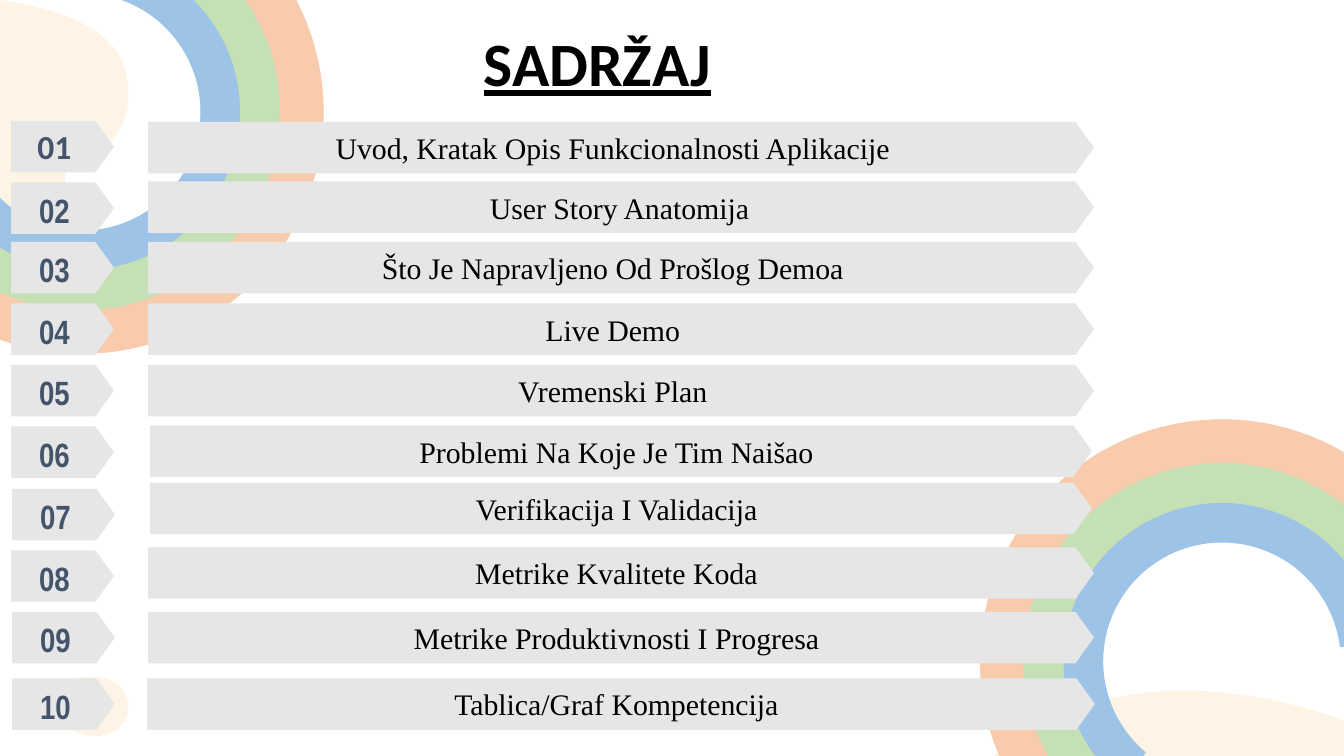
from dataclasses import dataclass
from typing import Optional

from lxml import etree
from pptx import Presentation
from pptx import util as u
from pptx.dml.color import RGBColor
from pptx.enum import shapes, text
from pptx.oxml import ns

BLACK = RGBColor(0x00, 0x00, 0x00)
SLATE = RGBColor(0x44, 0x54, 0x6A)
GREY = RGBColor(0xE7, 0xE6, 0xE6)
CREAM = RGBColor(0xF8, 0xBF, 0x66)
GREEN = RGBColor(0xC5, 0xE0, 0xB4)
BLUE = RGBColor(0x9D, 0xC3, 0xE6)
SALMON = RGBColor(0xF8, 0xCB, 0xAD)

PLATE_HEIGHT = 0.51
BAR_CENTRE = 6.16
INSET = 0.13

Point = tuple[float, float]


@dataclass
class Band:
    """One block arc of a rainbow."""
    color: RGBColor
    diameter: float
    rotation: float
    adjustments: tuple[float, float, float]


@dataclass
class Rainbow:
    center: Point
    turn: float
    unlined: Optional[RGBColor] = None


@dataclass
class Blob:
    """Frame, straight corners, then Bézier segments (two controls and an end)."""
    frame: tuple[float, float, float, float]
    corners: list[Point]
    curves: list[tuple[Point, Point, Point]]


@dataclass
class Entry:
    """One line of the contents: a numbered tag and a title bar."""
    title: str
    tag_top: float
    bar_top: float
    tag_left: float = 0.11
    bar_left: float = 1.47
    number_font: str = "Arial Narrow"
    number_spacing: float = 1.0
    inset_left: float = INSET


BANDS = [
    Band(GREEN, 3.96, 69.2, (107.81, 63.674, 0.106)),
    Band(BLUE, 3.13, 109.1, (108, 25.762, 0.122)),
    Band(SALMON, 4.79, 48.3, (107.79, 88.526, 0.088)),
]
RAINBOWS = [Rainbow((0.81, 1.11), 0, unlined=GREEN), Rainbow((12.12, 6.56), 200.9)]

BLOBS = [
    Blob((0.4, 6.71, 0.88, 0.59), [(0.7, 7.24)],
         [((1.15, 7.45), (1.42, 7.07), (1.19, 6.81)),
          ((0.96, 6.55), (-0.13, 6.86), (0.7, 7.24))]),
    Blob((9.85, 6.85, 4.28, 0.65), [(9.85, 7.5), (14.13, 7.5)],
         [((14.13, 7.5), (11.61, 6.04), (9.85, 7.5))]),
    Blob((0, 0, 1.28, 2.31), [(0, 2.24), (0, 0)],
         [((0.29, 0.04), (1.08, 0.18), (1.23, 0.66)),
          ((1.41, 1.25), (1, 1.62), (0.64, 1.66)),
          ((0.64, 1.66), (0.76, 2.55), (0, 2.24))]),
]

ENTRIES = [
    Entry("Uvod, Kratak Opis Funkcionalnosti Aplikacije ", 1.2, 1.21,
          number_font="Calibri", number_spacing=0.9),
    Entry("User Story Anatomija", 1.81, 1.8, inset_left=0.19),
    Entry("Što Je Napravljeno Od Prošlog Demoa ", 2.4, 2.4),
    Entry("Live Demo ", 3.01, 3.01),
    Entry("Vremenski Plan ", 3.62, 3.62),
    Entry("Problemi Na Koje Je Tim Naišao", 4.23, 4.22, bar_left=1.49),
    Entry("Verifikacija I Validacija", 4.85, 4.79, tag_left=0.12, bar_left=1.49),
    Entry("Metrike Kvalitete Koda", 5.46, 5.43),
    Entry("Metrike Produktivnosti I Progresa", 6.07, 6.07, tag_left=0.12),
    Entry("Tablica/Graf Kompetencija", 6.73, 6.73, tag_left=0.12, bar_left=1.46),
]


def write(shape, content: str, *, size: float, font: str, color: RGBColor = BLACK,
          bold: bool = False, underline: bool = False, spacing: float = 1.0,
          inset_left: float = INSET, anchor=text.MSO_ANCHOR.MIDDLE) -> None:
    frame = shape.text_frame
    frame.word_wrap = True
    frame.auto_size = text.MSO_AUTO_SIZE.NONE
    frame.vertical_anchor = anchor
    frame.margin_left = u.Inches(inset_left)
    frame.margin_right = frame.margin_top = frame.margin_bottom = u.Inches(INSET)
    paragraph = frame.paragraphs[0]
    paragraph.alignment = text.PP_ALIGN.CENTER
    paragraph.line_spacing = spacing
    run = paragraph.add_run()
    run.text = content
    run.font.size = u.Pt(size)
    run.font.name = font
    run.font.color.rgb = color
    run.font.bold = bold
    run.font.underline = underline


def paint(shape, color: RGBColor) -> None:
    shape.shadow.inherit = False
    shape.fill.solid()
    shape.fill.fore_color.rgb = color
    shape.line.fill.background()


def draw_blob(slide, blob: Blob) -> None:
    """Draw a curved, transparent shape on the layout behind the slide."""
    left, top, width, height = blob.frame
    builder = slide.shapes.build_freeform(u.Inches(left), u.Inches(top))
    builder.add_line_segments([(u.Inches(left + width), u.Inches(top + height))])
    shape = builder.convert_to_shape()
    paint(shape, CREAM)
    fill_color = shape.element.find(".//" + ns.qn("a:srgbClr"))
    etree.SubElement(fill_color, ns.qn("a:alpha"), val="17000")

    outline = shape.element.find(".//" + ns.qn("a:path"))
    for command in list(outline):
        outline.remove(command)
    steps = [("a:lnTo", (corner,)) for corner in blob.corners]
    steps[0] = ("a:moveTo", (blob.corners[0],))
    steps += [("a:cubicBezTo", curve) for curve in blob.curves]
    for tag, points in steps:
        command = etree.SubElement(outline, ns.qn(tag))
        for x, y in points:
            etree.SubElement(command, ns.qn("a:pt"),
                             x=str(u.Inches(x - left)), y=str(u.Inches(y - top)))
    etree.SubElement(outline, ns.qn("a:close"))
    slide.slide_layout.shapes.element.append(shape.element)


def draw_rainbow(slide, rainbow: Rainbow) -> None:
    for band in BANDS:
        left, top = (middle - band.diameter / 2 for middle in rainbow.center)
        shape = slide.shapes.add_shape(
            shapes.MSO_SHAPE.BLOCK_ARC, u.Inches(left), u.Inches(top),
            u.Inches(band.diameter), u.Inches(band.diameter))
        for index, value in enumerate(band.adjustments):
            shape.adjustments[index] = value
        shape.rotation = band.rotation + rainbow.turn
        paint(shape, band.color)
        if band.color != rainbow.unlined:
            shape.line.color.rgb = band.color
            shape.line.width = u.Pt(0.75)


def add_plate(slide, left: float, top: float, width: float):
    plate = slide.shapes.add_shape(
        shapes.MSO_SHAPE.PENTAGON, u.Inches(left), u.Inches(top),
        u.Inches(width), u.Inches(PLATE_HEIGHT))
    plate.adjustments[0] = 0.36
    paint(plate, GREY)
    return plate


def draw_entry(slide, number: int, entry: Entry) -> None:
    add_plate(slide, entry.tag_left, entry.tag_top, 1.02)
    label = slide.shapes.add_textbox(
        u.Inches(entry.tag_left - 0.01), u.Inches(entry.tag_top + 0.06),
        u.Inches(0.88), u.Inches(0.42))
    write(label, f"{number:02}", size=24, font=entry.number_font, color=SLATE,
          bold=True, spacing=entry.number_spacing)
    bar = add_plate(slide, entry.bar_left, entry.bar_top, 2 * (BAR_CENTRE - entry.bar_left))
    write(bar, entry.title, size=21.3, font="Times New Roman", inset_left=entry.inset_left)


def main() -> None:
    presentation = Presentation()
    presentation.slide_width = u.Inches(13.33)
    presentation.slide_height = u.Inches(7.5)
    slide = presentation.slides.add_slide(presentation.slide_layouts[5])

    # Background decoration
    for blob in BLOBS:
        draw_blob(slide, blob)
    for rainbow in RAINBOWS:
        draw_rainbow(slide, rainbow)

    # Title
    title = slide.shapes.title
    title.left, title.top = u.Inches(4.19), u.Inches(0.2)
    title.width, title.height = u.Inches(3.47), u.Inches(0.84)
    write(title, "SADRŽAJ", size=44, font="Calibri", bold=True, underline=True,
          spacing=0.9, anchor=text.MSO_ANCHOR.TOP)

    # Contents list
    for number, entry in enumerate(ENTRIES, start=1):
        draw_entry(slide, number, entry)

    presentation.save("out.pptx")


if __name__ == "__main__":
    main()
